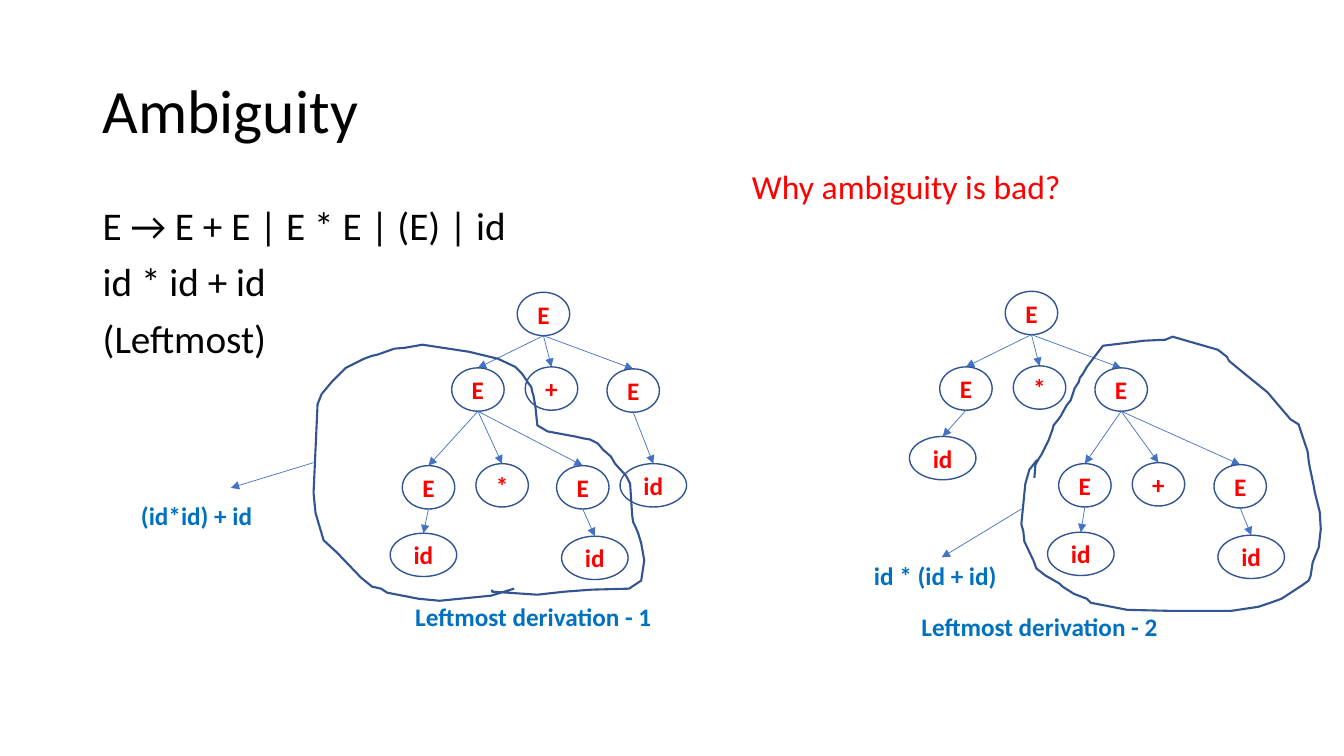
import pptx
import pptx.util
import pptx.dml.color
import pptx.enum.shapes
import pptx.enum.text
import pptx.oxml.ns
import lxml.etree

Inches = pptx.util.Inches
Pt = pptx.util.Pt
RGBColor = pptx.dml.color.RGBColor
PP_ALIGN = pptx.enum.text.PP_ALIGN
MSO_ANCHOR = pptx.enum.text.MSO_ANCHOR
MSO_SHAPE = pptx.enum.shapes.MSO_SHAPE
STRAIGHT = pptx.enum.shapes.MSO_CONNECTOR.STRAIGHT
qn = pptx.oxml.ns.qn

BLACK = RGBColor(0x00, 0x00, 0x00)
RED = RGBColor(0xFF, 0x00, 0x00)
BLUE = RGBColor(0x00, 0x70, 0xC0)
OUTLINE = RGBColor(0x32, 0x54, 0x91)
ARROW = RGBColor(0x44, 0x72, 0xC4)

NODE_HEIGHT = 0.43
NODE_WIDTHS = {"id": 0.66}

# Each node is label, horizontal and vertical offset from its parent, children.
FIRST_TREE = ("E", 0, 0, [
    ("E", -0.65, 0.75, [
        ("E", -0.49, 0.97, [("id", -0.05, 0.67, [])]),
        ("*", 0.24, 0.95, []),
        ("E", 1.04, 0.97, [("id", 0.12, 0.7, [])]),
    ]),
    ("+", 0.08, 0.74, []),
    ("E", 0.89, 0.76, [("id", 0.2, 0.94, [])]),
])
SECOND_TREE = ("E", 0, 0, [
    ("E", -0.65, 0.75, [("id", -0.23, 0.69, [])]),
    ("*", 0.08, 0.74, []),
    ("E", 0.89, 0.76, [
        ("E", -0.36, 0.95, [("id", -0.04, 0.68, [])]),
        ("+", 0.37, 0.94, []),
        ("E", 1.18, 0.96, [("id", 0.11, 0.7, [])]),
    ]),
])

FIRST_LOOP = [
    (199, 242), (176, 249), (125, 254), (104, 252), (73, 246), (67, 242),
    (58, 240), (47, 231), (23, 206), (10, 194), (2, 167), (0, 147),
    (4, 59), (8, 49), (18, 37), (32, 23), (50, 14), (58, 11), (63, 10),
    (80, 4), (91, 3), (108, 0), (154, 7), (183, 14), (200, 22), (207, 29),
    (213, 38), (216, 42), (217, 47), (218, 50), (220, 61), (222, 80),
    (232, 86), (259, 91), (268, 93), (274, 94), (282, 98), (287, 104),
    (295, 111), (299, 118), (310, 130), (314, 138), (316, 169), (317, 176),
    (319, 180), (322, 187), (325, 197), (328, 214), (325, 234), (313, 242),
    (276, 243), (249, 245), (222, 248), (177, 245), (177, 243),
]
SECOND_LOOP = [
    (13, 140), (14, 127), (18, 120), (20, 117), (23, 111), (27, 103),
    (31, 92), (32, 88), (36, 83), (39, 79), (45, 68), (49, 63), (53, 51),
    (57, 45), (58, 41), (61, 37), (65, 30), (68, 26), (81, 9), (122, 4),
    (143, 3), (150, 0), (195, 13), (204, 20), (206, 24), (223, 38),
    (244, 55), (267, 82), (275, 87), (277, 93), (284, 114), (285, 123),
    (286, 129), (290, 148), (291, 154), (293, 162), (296, 174), (297, 191),
    (295, 209), (289, 224), (287, 237), (285, 242), (278, 247), (258, 260),
    (247, 264), (235, 268), (208, 272), (148, 272), (105, 271), (69, 264),
    (65, 260), (52, 255), (41, 248), (38, 245), (24, 237), (15, 230),
    (12, 222), (3, 203), (2, 193), (0, 186), (4, 146), (8, 132),
    (15, 123), (17, 122),
]


def write(tf, text, size=18, color=BLUE, bold=False, align=PP_ALIGN.LEFT,
          anchor=MSO_ANCHOR.TOP, line=1.0, gap=0):
    tf.word_wrap = True
    tf.vertical_anchor = anchor
    for i, words in enumerate(text.split("\n")):
        p = tf.paragraphs[0] if i == 0 else tf.add_paragraph()
        p.alignment = align
        p.line_spacing = line
        if i:
            p.space_before = Pt(gap)
        r = p.add_run()
        r.text = words
        r.font.name = "Calibri"
        r.font.size = Pt(size)
        r.font.bold = bold
        r.font.color.rgb = color


def add_text(s, box, text, **style):
    tb = s.shapes.add_textbox(*[Inches(v) for v in box])
    write(tb.text_frame, text, **style)


def add_arrow(s, start, end):
    c = s.shapes.add_connector(STRAIGHT, *[Inches(v) for v in start + end])
    c.line.color.rgb = ARROW
    c.line.width = Pt(0.5)
    lxml.etree.SubElement(c.line._get_or_add_ln(), qn("a:tailEnd"), type="triangle")
    lxml.etree.SubElement(c._element.spPr, qn("a:effectLst"))


def add_tree(s, x, y, node):
    label, dx, dy, children = node
    x, y = x + dx, y + dy
    width = NODE_WIDTHS.get(label, 0.52)
    sp = s.shapes.add_shape(MSO_SHAPE.OVAL, Inches(x - width / 2), Inches(y),
                            Inches(width), Inches(NODE_HEIGHT))
    sp.shadow.inherit = False
    sp.fill.background()
    sp.line.color.rgb = OUTLINE
    sp.line.width = Pt(1)
    write(sp.text_frame, label, color=RED, bold=True,
          align=PP_ALIGN.CENTER, anchor=MSO_ANCHOR.MIDDLE)
    for child in children:
        add_arrow(s, (x, y + NODE_HEIGHT), (x + child[1], y + child[2]))
        add_tree(s, x, y, child)


def add_loop(s, left, top, points):
    points = [(Inches(left + x / 100), Inches(top + y / 100)) for x, y in points]
    builder = s.shapes.build_freeform(*points[0], scale=1.0)
    builder.add_line_segments(points[1:], close=False)
    sp = builder.convert_to_shape()
    sp.shadow.inherit = False
    sp.fill.background()
    sp.line.color.rgb = OUTLINE
    sp.line.width = Pt(1.5)


def add_derivation(s, x, y, tree, loop, loop_at, arrow, result, result_at,
                   caption, caption_at):
    add_tree(s, x, y, tree)
    add_loop(s, x + loop_at[0], y + loop_at[1], loop)
    add_arrow(s, *[(x + dx, y + dy) for dx, dy in arrow])
    for text, (dx, dy) in ((result, result_at), (caption, caption_at)):
        add_text(s, (x + dx, y + dy, 2.64, 0.4), text, bold=True)


def add_heading(s, left, top, width):
    add_text(s, (left, top, width, 1.45), "Ambiguity", size=44, color=BLACK,
             anchor=MSO_ANCHOR.MIDDLE, line=0.9)
    add_text(s, (left, top + 1.6, width, 4.76),
             "E → E + E | E * E | (E) | id\nid * id + id\n(Leftmost)",
             size=28, color=BLACK, line=0.9, gap=10)
    add_text(s, (left + 6.44, top + 1.2, 4.27, 0.5), "Why ambiguity is bad?",
             size=24, color=RED)


def main():
    prs = pptx.Presentation()
    prs.slide_width, prs.slide_height = Inches(13.33), Inches(7.5)
    s = prs.slides.add_slide(prs.slide_layouts[6])
    add_heading(s, 0.92, 0.4, 11.5)
    add_derivation(s, 5.39, 2.9, FIRST_TREE, FIRST_LOOP, (-2.28, 0.52),
                   [(-2.28, 1.69), (-3.1, 1.94)],
                   "(id*id) + id", (-4.09, 2.01),
                   "Leftmost derivation - 1", (-1.37, 3.02))
    add_derivation(s, 10.23, 2.89, SECOND_TREE, SECOND_LOOP, (-0.1, 0.45),
                   [(-0.1, 2.16), (-0.89, 2.64)],
                   "id * (id + id)", (-1.66, 2.62),
                   "Leftmost derivation - 2", (-1.19, 3.13))
    prs.save("out.pptx")


if __name__ == "__main__":
    main()
